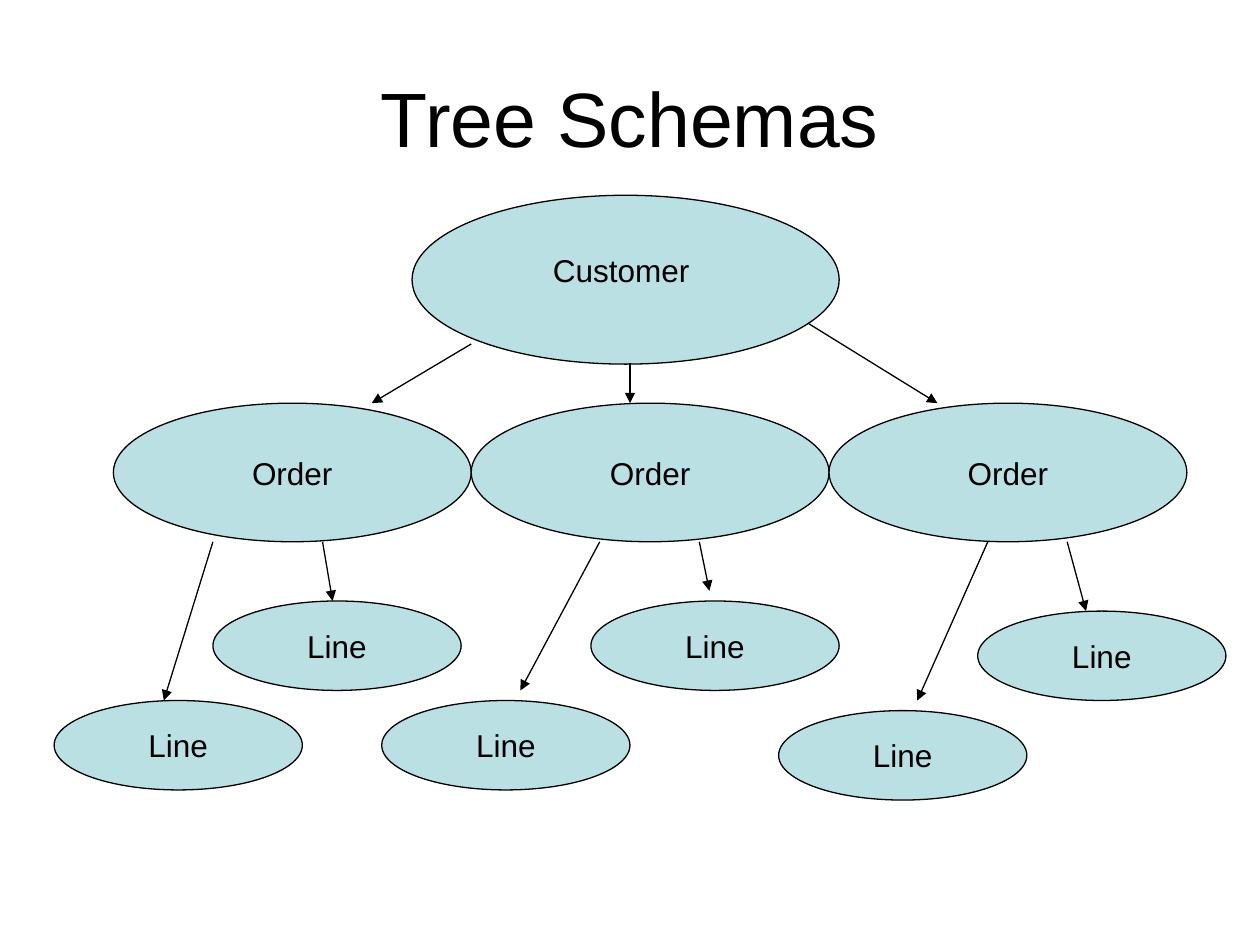
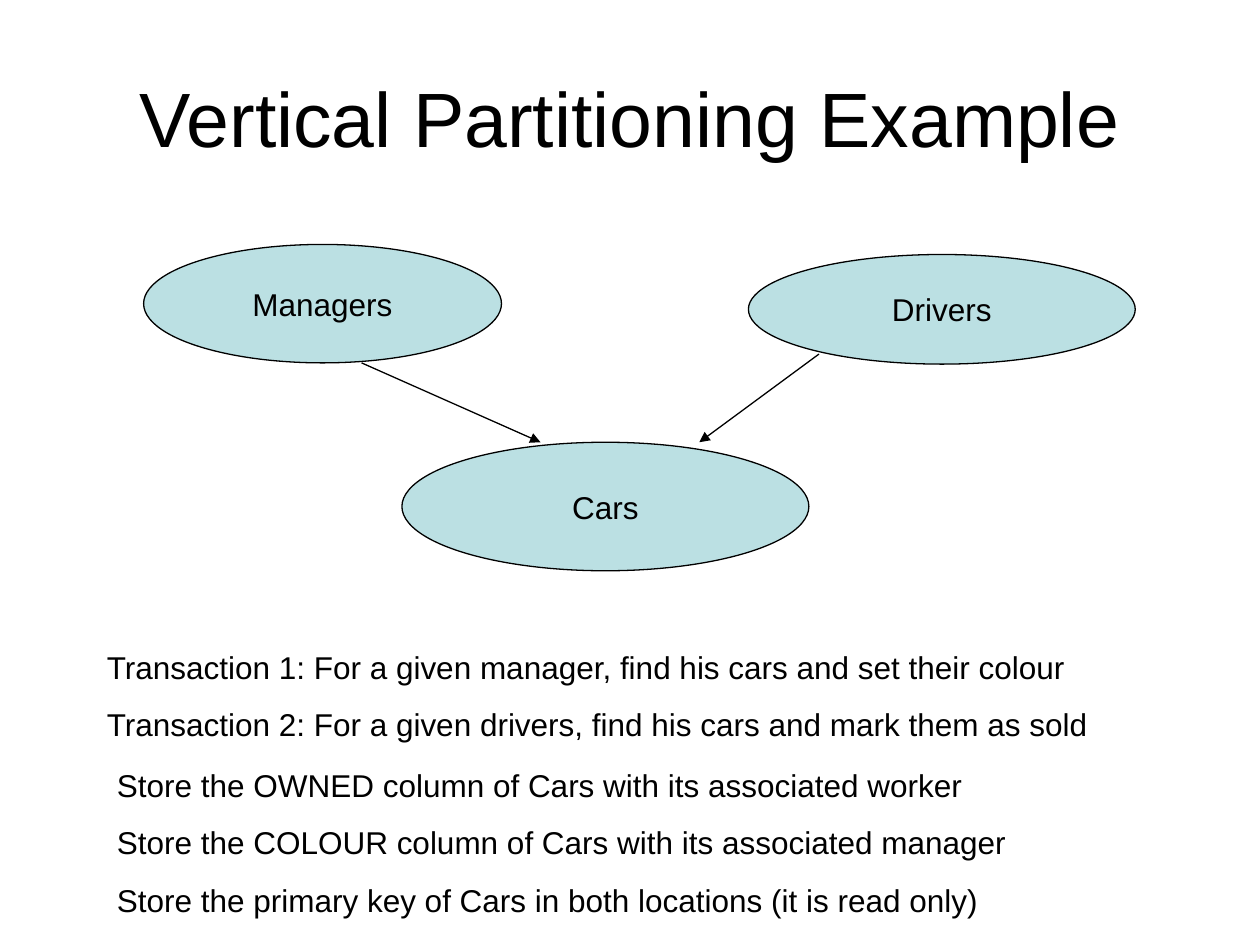
from dataclasses import dataclass

from lxml import etree
from pptx import Presentation
from pptx import util as u
from pptx.dml.color import RGBColor
from pptx.enum import shapes, text
from pptx.oxml import ns


@dataclass(frozen=True)
class Theme:
    ink: RGBColor = RGBColor(0x00, 0x00, 0x00)
    node: RGBColor = RGBColor(0xBB, 0xE0, 0xE3)
    paper: RGBColor = RGBColor(0xFF, 0xFF, 0xFF)
    font: str = "Arial"
    title_size: int = 44
    body_size: int = 18
    line_width: float = 0.75
    para_gap: float = 11.2


THEME = Theme()
PX_PER_INCH = 100
TITLE_BOX = (50, 30, 900, 125)


def px(*lengths):
    return [u.Emu(round(n * 914400 / PX_PER_INCH)) for n in lengths]


# Text

def write(p, words, size=THEME.body_size, color=THEME.ink, align=None, before=0):
    r = p.add_run()
    r.text = words
    r.font.name, r.font.size = THEME.font, u.Pt(size)
    r.font.color.rgb = color
    p.alignment = align
    p.space_before = u.Pt(before)


def add_text(s, box, *lines):
    tf = s.shapes.add_textbox(*px(*box)).text_frame
    tf.word_wrap = True
    for i, words in enumerate(lines):
        p = tf.add_paragraph() if i else tf.paragraphs[0]
        write(p, words, before=THEME.para_gap if i else 0)


def add_titled_slide(prs, title):
    s = prs.slides.add_slide(prs.slide_layouts.get_by_name("Title Only"))
    s.background.fill.solid()
    s.background.fill.fore_color.rgb = THEME.paper
    sp = s.shapes.title
    sp.left, sp.top, sp.width, sp.height = px(*TITLE_BOX)
    tf = sp.text_frame
    tf.auto_size = text.MSO_AUTO_SIZE.NONE
    tf.vertical_anchor = text.MSO_ANCHOR.MIDDLE
    write(tf.paragraphs[0], title, size=THEME.title_size, align=text.PP_ALIGN.CENTER)
    return s


# Diagram parts

def outline(line):
    line.color.rgb = THEME.ink
    line.width = u.Pt(THEME.line_width)


def add_node(s, box, label=None):
    sp = s.shapes.add_shape(shapes.MSO_SHAPE.OVAL, *px(*box))
    sp.shadow.inherit = False
    sp.fill.solid()
    sp.fill.fore_color.rgb = THEME.node
    outline(sp.line)
    if label:
        tf = sp.text_frame
        tf.word_wrap = False
        tf.vertical_anchor = text.MSO_ANCHOR.MIDDLE
        write(tf.paragraphs[0], label, align=text.PP_ALIGN.CENTER)


def add_arrow(s, x1, y1, x2, y2):
    line = s.shapes.add_connector(shapes.MSO_CONNECTOR.STRAIGHT, *px(x1, y1, x2, y2))
    outline(line.line)
    etree.SubElement(line.line._get_or_add_ln(), ns.qn("a:tailEnd"), type="triangle")
    etree.SubElement(line._element.spPr, ns.qn("a:effectLst"))


# Slides

def tree_schemas(prs):
    s = add_titled_slide(prs, "Tree Schemas")

    # Customer at the root
    add_node(s, (327, 155, 339, 134))
    add_text(s, (429, 194, 236, 40), "Customer")

    # Orders side by side
    order_left, order_top, order_width, order_height = 90, 320, 284, 110
    for i in range(3):
        add_node(s, (order_left + i * order_width, order_top, order_width, order_height), "Order")
    for x1, y1, x2 in [(374, 273, 295), (500, 288, 500), (642, 257, 744)]:
        add_arrow(s, x1, y1, x2, order_top)

    # Two lines under each order
    for left, top in [(43, 556), (169, 477), (303, 556), (469, 477), (618, 564), (776, 485)]:
        add_node(s, (left, top, 197, 71), "Line")
    for x1, x2, y2 in [(169, 130, 556), (256, 264, 477), (476, 413, 548),
                       (555, 563, 469), (784, 728, 556), (847, 862, 485)]:
        add_arrow(s, x1, order_top + order_height, x2, y2)


def vertical_partitioning(prs):
    s = add_titled_slide(prs, "Vertical Partitioning Example")

    # Both owners point at the shared table
    add_node(s, (114, 194, 284, 94), "Managers")
    add_node(s, (594, 202, 307, 87), "Drivers")
    add_node(s, (319, 351, 323, 102), "Cars")
    add_arrow(s, 287, 288, 429, 351)
    add_arrow(s, 650, 281, 555, 351)

    # Transactions and the resulting storage rules
    add_text(s, (75, 509, 866, 86),
             "Transaction 1: For a given manager, find his cars and set their colour",
             "Transaction 2: For a given drivers, find his cars and mark them as sold")
    add_text(s, (83, 603, 827, 132),
             "Store the OWNED column of Cars with its associated worker",
             "Store the COLOUR column of Cars with its associated manager",
             "Store the primary key of Cars in both locations (it is read only)")


def main():
    prs = Presentation()
    prs.slide_width, prs.slide_height = px(1000, 750)
    tree_schemas(prs)
    vertical_partitioning(prs)
    prs.save("out.pptx")


if __name__ == "__main__":
    main()
